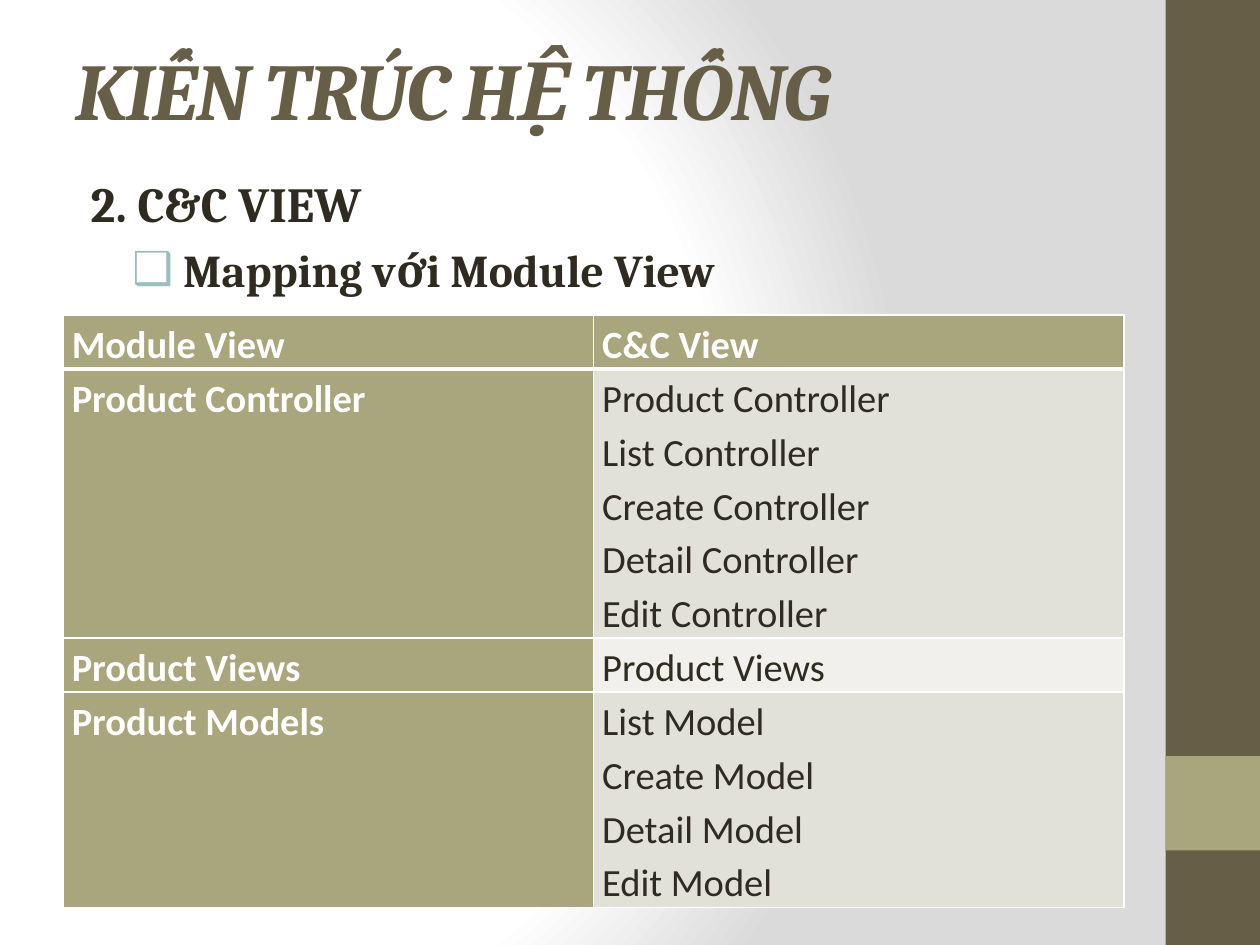
from pptx import Presentation
from pptx.dml.color import RGBColor
from pptx.enum.shapes import MSO_SHAPE as Shape
from pptx.enum.text import MSO_ANCHOR as Anchor, MSO_AUTO_SIZE as Fit, PP_ALIGN as Align
from pptx.oxml import parse_xml
from pptx.oxml.ns import nsdecls
from pptx.util import Inches, Pt

DARK, OLIVE, INK, WHITE = "675E47", "A9A57C", "2F2B20", "FFFFFF"


def paint(part, color):
    if hasattr(part, "solid"):
        part.solid()
        part = part.fore_color
    part.rgb = RGBColor.from_string(color)


def write(para, text, face, size, color, bold=True):
    run = para.add_run()
    run.text = text
    run.font.name, run.font.size, run.font.bold = face, Pt(size), bold
    paint(run.font.color, color)
    return run


deck = Presentation()
deck.slide_width, deck.slide_height = Inches(10), Inches(7.5)
unit = Inches(0.25)
slide = deck.slides.add_slide(deck.slide_layouts[1])

stops = "".join(
    f'<a:gs pos="{pos}000"><a:srgbClr val="{color}"/></a:gs>'
    for pos, color in [(0, WHITE), (75, WHITE), (100, "DADADA")]
)
slide.element[0].insert(0, parse_xml(
    f'<p:bg {nsdecls("p", "a")}><p:bgPr><a:gradFill rotWithShape="1">'
    f'<a:gsLst>{stops}</a:gsLst><a:path path="circle">'
    '<a:fillToRect l="20000" t="50000" r="100000" b="50000"/></a:path>'
    '</a:gradFill><a:effectLst/></p:bgPr></p:bg>'
))

for top, tall, color in [(0, 30, DARK), (24, 3, OLIVE)]:
    bar = slide.shapes.add_shape(
        Shape.RECTANGLE, 37 * unit, top * unit, 3 * unit, tall * unit)
    bar.shadow.inherit = False
    paint(bar.fill, color)
    bar.line.fill.background()

title, body = slide.placeholders
for box, top, tall in [(title, 0.08, 1.25), (body, 1.33, 5.25)]:
    box.left, box.top = 2 * unit, Inches(top)
    box.width, box.height = Inches(8.33), Inches(tall)
    box.text_frame.auto_size = Fit.NONE

title.text_frame.vertical_anchor = Anchor.MIDDLE
para = title.text_frame.paragraphs[0]
para.alignment = Align.LEFT
run = write(para, "KIẾN TRÚC HỆ THỐNG", "Cambria", 46, DARK)
run.font.italic = True
run.font._element.set("spc", "-100")

head = body.text_frame.paragraphs[0]
item = body.text_frame.add_paragraph()
item.level = 1
write(head, "2. C&C VIEW", "Cambria", 28, INK)
write(item, " Mapping với Module View", "Cambria", 26, INK)
for para, left, hang, marks in [
    (head, 0.12, 0, ["<a:buNone {}/>"]),
    (item, 0.7, -0.25, ['<a:buClr {}><a:srgbClr val="9CBEBD"/></a:buClr>',
                        '<a:buChar {} char="❑"/>']),
]:
    props = para._p.get_or_add_pPr()
    props.set("marL", str(Inches(left)))
    props.set("indent", str(Inches(hang)))
    for mark in marks:
        props.append(parse_xml(mark.format(nsdecls("a"))))

rows = [
    ("Module View", ["C&C View"], 0.39, OLIVE),
    ("Product Controller", ["Product Controller", "List Controller",
     "Create Controller", "Detail Controller", "Edit Controller"], 2.03, "E2E1D7"),
    ("Product Views", ["Product Views"], 0.39, "F1F0EC"),
    ("Product Models", ["List Model", "Create Model", "Detail Model",
     "Edit Model"], 1.62, "E2E1D7"),
]
table = slide.shapes.add_table(
    len(rows), 2, 2 * unit, 10 * unit, Inches(8.42), Inches(4.43)).table
for r, (name, parts, tall, shade) in enumerate(rows):
    table.rows[r].height = Inches(tall)
    for c, (lines, fill) in enumerate([([name], OLIVE), (parts, shade)]):
        cell = table.cell(r, c)
        cell.margin_left = cell.margin_right = Inches(0.07)
        cell.margin_top = cell.margin_bottom = 0
        strong = fill == OLIVE
        for n, line in enumerate(lines):
            frame = cell.text_frame
            para = frame.add_paragraph() if n else frame.paragraphs[0]
            para.line_spacing = 1.15
            write(para, line, "Calibri", 22, WHITE if strong else INK, strong)
        props = cell._tc.get_or_add_tcPr()
        for side in "LRTB":
            thick = 3 if (r, side) in [(0, "B"), (1, "T")] else 1
            props.append(parse_xml(
                f'<a:ln{side} {nsdecls("a")} w="{Pt(thick)}"><a:solidFill>'
                f'<a:srgbClr val="{WHITE}"/></a:solidFill></a:ln{side}>'))
        paint(cell.fill, fill)

deck.save("out.pptx")
